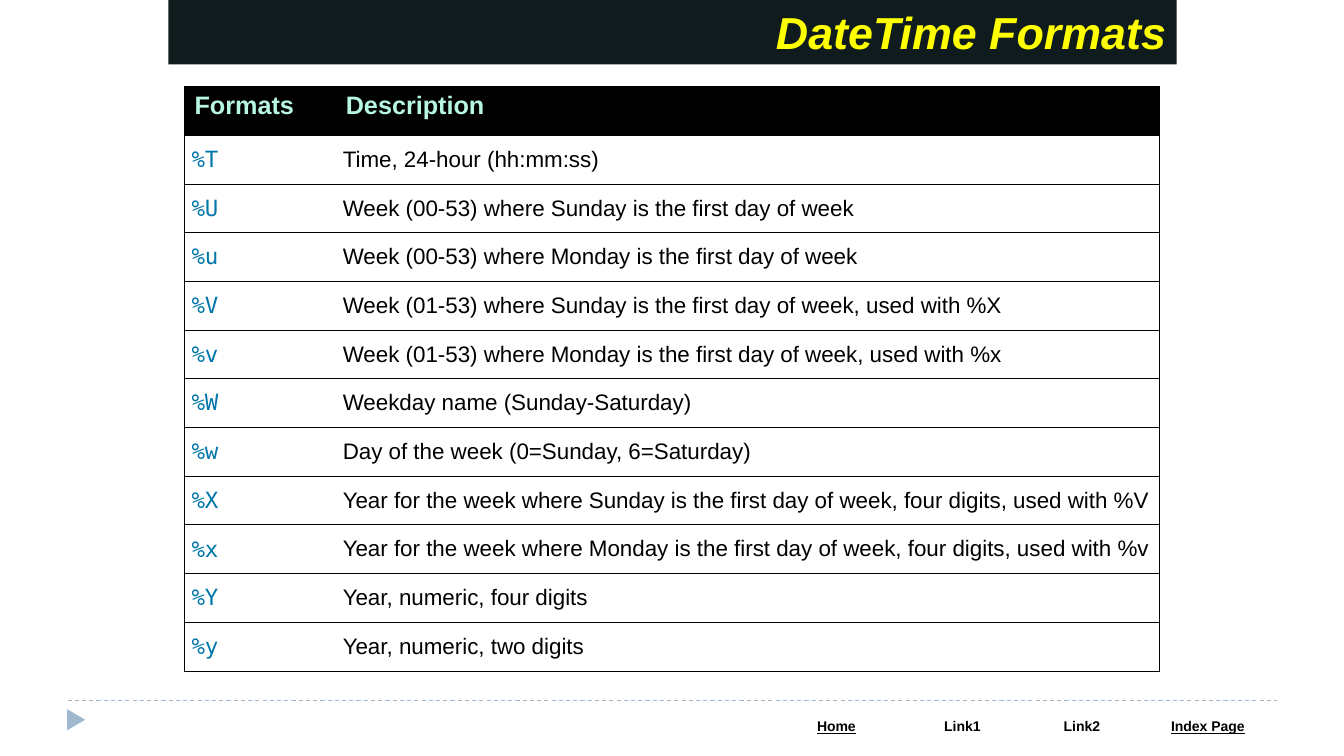
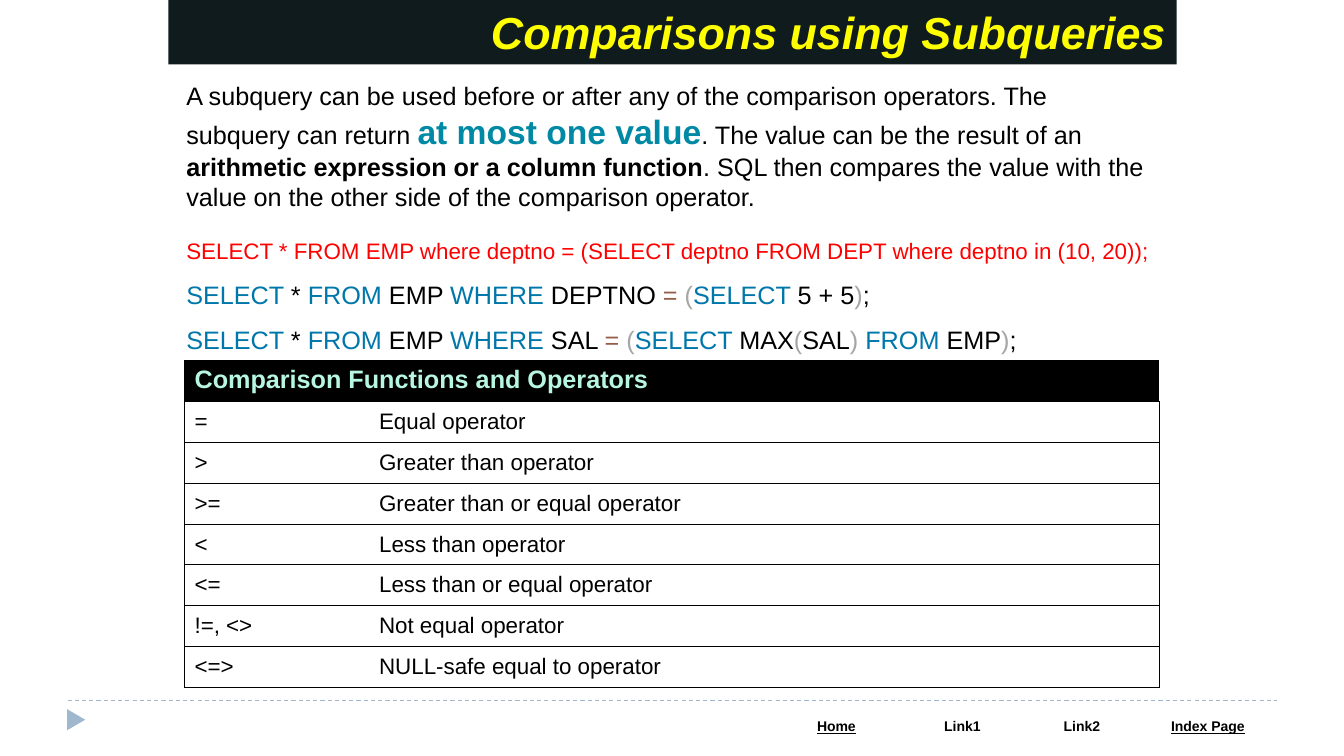
import pptx
import pptx.util
import pptx.dml.color
import pptx.enum.dml
import pptx.enum.shapes
import pptx.enum.text
import pptx.oxml
import pptx.oxml.ns

Inches, Pt = pptx.util.Inches, pptx.util.Pt
ALIGN = pptx.enum.text.PP_ALIGN
ANCHOR = pptx.enum.text.MSO_ANCHOR

BLACK, WHITE, BLUE, GREY = "000000", "FFFFFF", "0077AA", "A6A6A6"
BAND, YELLOW, MINT, RULE = "101B1D", "FFFF00", "B7F7E2", "9FB8CD"
TEAL, BROWN, RED = "0089A4", "955E4B", "FF0000"
SANS, MONO = "Arial", "DejaVu Sans Mono"

FOOTER_LINKS = [("Home", 1.25, True), ("Link1", 1.25, False),
                ("Link2", 1.12, False), ("Index Page", 1.38, True)]

FORMATS_TITLE = "DateTime Formats"
FORMATS_HEADER = ("Formats", "Description")
FORMATS = [
    ("%T", "Time, 24-hour (hh:mm:ss)"),
    ("%U", "Week (00-53) where Sunday is the first day of week"),
    ("%u", "Week (00-53) where Monday is the first day of week"),
    ("%V", "Week (01-53) where Sunday is the first day of week, used with %X"),
    ("%v", "Week (01-53) where Monday is the first day of week, used with %x"),
    ("%W", "Weekday name (Sunday-Saturday)"),
    ("%w", "Day of the week (0=Sunday, 6=Saturday)"),
    ("%X", "Year for the week where Sunday is the first day of week, four digits, used with %V"),
    ("%x", "Year for the week where Monday is the first day of week, four digits, used with %v"),
    ("%Y", "Year, numeric, four digits"),
    ("%y", "Year, numeric, two digits"),
]

SUBQUERIES_TITLE = "Comparisons using Subqueries"
EXPLANATION = [
    ("A subquery can be used before or after any of the comparison operators. "
     "The subquery can return ", 18, BLACK, False),
    ("at most one value", 24, TEAL, True),
    (". The value can be the result of an ", 18, BLACK, False),
    ("arithmetic expression or a column function", 18, BLACK, True),
    (". SQL then compares the value with the value on the other side of the "
     "comparison operator.", 18, BLACK, False),
]
MULTI_ROW_QUERY = ("SELECT * FROM EMP where deptno = "
                   "(SELECT deptno FROM DEPT where deptno in (10, 20));")
QUERIES = [
    "SELECT |* |FROM |EMP |WHERE |DEPTNO |= |(|SELECT |5 + 5|)|;",
    "SELECT |* |FROM |EMP |WHERE |SAL |= |(|SELECT |MAX|(|SAL|) |FROM |EMP|)|;",
]
SQL_COLOURS = {"SELECT": BLUE, "FROM": BLUE, "WHERE": BLUE,
               "=": BROWN, "(": GREY, ")": GREY}
OPERATORS_HEADER = ("Comparison Functions and Operators", "")
OPERATORS = [
    ("=", "Equal operator"),
    (">", "Greater than operator"),
    (">=", "Greater than or equal operator"),
    ("<", "Less than operator"),
    ("<=", "Less than or equal operator"),
    ("!=, <>", "Not equal operator"),
    ("<=>", "NULL-safe equal to operator"),
]


def rgb(colour):
    return pptx.dml.color.RGBColor.from_string(colour)


def style(font, size, colour, bold=False, face=SANS):
    font.name, font.size, font.bold = face, Pt(size), bold
    font.color.rgb = rgb(colour)


def add_runs(paragraph, runs):
    for text, size, colour, bold in runs:
        run = paragraph.add_run()
        run.text = text
        style(run.font, size, colour, bold)


def set_borders(cell, borders):
    properties = cell._tc.get_or_add_tcPr()
    for side in "LRTB":
        colour, width = borders.get(side, (None, 0))
        paint = (f'<a:solidFill><a:srgbClr val="{colour}"/></a:solidFill>'
                 if colour else "<a:noFill/>")
        properties.append(pptx.oxml.parse_xml(
            f'<a:ln{side} {pptx.oxml.ns.nsdecls("a")} w="{Pt(width)}">{paint}</a:ln{side}>'))


def add_plain_table(slide, left, top, widths, row_height, row_count):
    table = slide.shapes.add_table(
        row_count, len(widths), Inches(left), Inches(top),
        Inches(sum(widths)), Inches(row_height * row_count)).table
    table.first_row = table.horz_banding = False
    for column, width in zip(table.columns, widths):
        column.width = Inches(width)
    for row in table.rows:
        row.height = Inches(row_height)
    return table


def fill_cell(cell, text, fill, borders):
    set_borders(cell, borders)
    if fill:
        cell.fill.solid()
        cell.fill.fore_color.rgb = rgb(fill)
    else:
        cell.fill.background()
    cell.text = text
    return cell.text_frame.paragraphs[0]


def add_reference_table(slide, top, widths, row_height, header, entries,
                        key_style=(16, BLACK), margins=None):
    table = add_plain_table(slide, 1.83, top, widths, row_height, len(entries) + 1)
    for r, entry in enumerate([header] + entries):
        for c, text in enumerate(entry):
            cell = table.cell(r, c)
            borders = {side: (BLACK, 0.75) for side in ("LTB", "RTB")[c]}
            paragraph = fill_cell(cell, text, None if r else BLACK, borders)
            if r == 0:
                style(paragraph.font, 18, MINT, True)
                continue
            cell.vertical_anchor = ANCHOR.MIDDLE
            if margins is not None:
                cell.margin_left = cell.margin_right = Inches(margins)
                cell.margin_top = cell.margin_bottom = 0
            if c == 0:
                style(paragraph.font, *key_style)
            else:
                style(paragraph.font, 16, BLACK)
    return table


def add_footer(slide):
    marker = slide.shapes.add_shape(
        pptx.enum.shapes.MSO_SHAPE.ISOSCELES_TRIANGLE,
        Inches(0.65), Inches(7.05), Inches(0.21), Inches(0.18))
    marker.rotation = 90
    marker.shadow.inherit = False
    marker.fill.solid()
    marker.fill.fore_color.rgb = rgb(RULE)
    marker.line.fill.background()

    divider = slide.shapes.add_connector(
        pptx.enum.shapes.MSO_CONNECTOR.STRAIGHT,
        Inches(0.67), Inches(6.95), Inches(12.67), Inches(6.95))
    divider.line.color.rgb = rgb(RULE)
    divider.line.width = Pt(0.75)
    divider.line.dash_style = pptx.enum.dml.MSO_LINE.DASH
    divider._element.spPr.append(
        pptx.oxml.parse_xml(f'<a:effectLst {pptx.oxml.ns.nsdecls("a")}/>'))

    links = add_plain_table(slide, 7.67, 7.08, [width for _, width, _ in FOOTER_LINKS], 0.27, 1)
    borders = {"L": (WHITE, 1), "R": (WHITE, 1), "T": (WHITE, 1), "B": (WHITE, 3)}
    for cell, (label, _, underlined) in zip(links.rows[0].cells, FOOTER_LINKS):
        paragraph = fill_cell(cell, label, WHITE, borders)
        cell.margin_left = cell.margin_right = Inches(0.13)
        paragraph.alignment = ALIGN.CENTER
        style(paragraph.font, 10, BLACK, True)
        paragraph.font.underline = underlined


def add_titled_slide(deck, heading):
    slide = deck.slides.add_slide(deck.slide_layouts[5])
    title = slide.shapes.title
    title.left, title.top = Inches(1.67), 0
    title.width, title.height = Inches(10), Inches(0.64)
    title.fill.solid()
    title.fill.fore_color.rgb = rgb(BAND)
    title.text_frame.text = heading
    title.text_frame.auto_size = pptx.enum.text.MSO_AUTO_SIZE.NONE
    title.text_frame.vertical_anchor = ANCHOR.TOP
    paragraph = title.text_frame.paragraphs[0]
    paragraph.alignment = ALIGN.RIGHT
    style(paragraph.font, 32, YELLOW, True)
    paragraph.font.italic = True
    add_footer(slide)
    return slide


def add_body_text(slide, top):
    frame = slide.shapes.add_textbox(
        Inches(1.75), Inches(top), Inches(9.83), Inches(1.41)).text_frame
    frame.word_wrap = True
    return frame


def build_formats(deck):
    slide = add_titled_slide(deck, FORMATS_TITLE)
    add_reference_table(slide, 0.86, (1.5, 8.17), 5.8 / 12, FORMATS_HEADER, FORMATS,
                        key_style=(16, BLUE, False, MONO), margins=0.07)


def build_subqueries(deck):
    slide = add_titled_slide(deck, SUBQUERIES_TITLE)
    add_runs(add_body_text(slide, 0.75).paragraphs[0], EXPLANATION)

    queries = add_body_text(slide, 2.17)
    first = queries.paragraphs[0]
    first.text = MULTI_ROW_QUERY
    style(first.font, 16, RED)
    for query in QUERIES:
        add_runs(queries.add_paragraph(),
                 [(token, 18, SQL_COLOURS.get(token.strip(), BLACK), False)
                  for token in query.split("|")])
    for paragraph in queries.paragraphs:
        paragraph.line_spacing = 1.5

    table = add_reference_table(slide, 3.58, (1.83, 7.84), 3.24 / 8,
                                OPERATORS_HEADER, OPERATORS)
    table.cell(0, 0).merge(table.cell(0, 1))


def main():
    deck = pptx.Presentation()
    deck.slide_width, deck.slide_height = Inches(13.33), Inches(7.5)
    build_formats(deck)
    build_subqueries(deck)
    deck.save("out.pptx")


if __name__ == "__main__":
    main()
